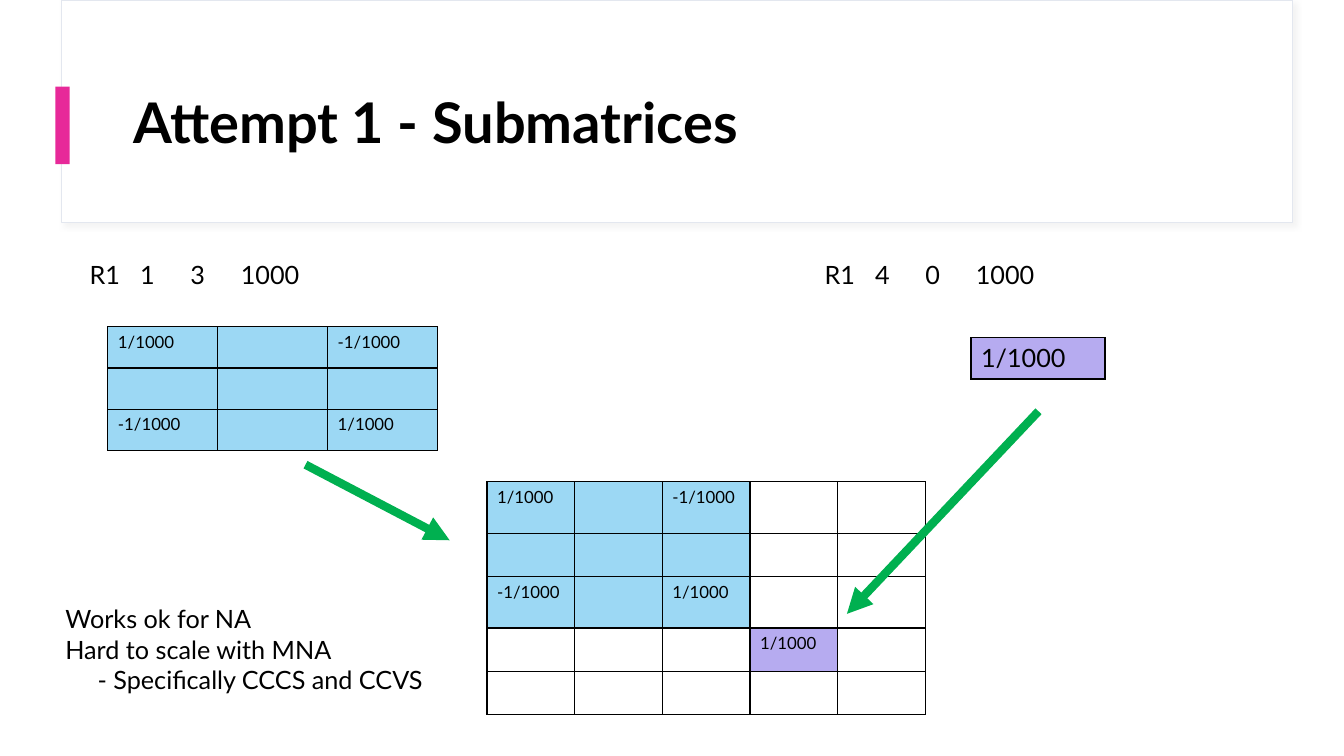
from lxml.etree import SubElement
from pptx import Presentation
from pptx.dml.color import RGBColor
from pptx.enum.shapes import MSO_CONNECTOR, MSO_SHAPE
from pptx.enum.text import MSO_ANCHOR, MSO_AUTO_SIZE, PP_ALIGN
from pptx.oxml import parse_xml
from pptx.oxml.ns import nsdecls, qn
from pptx.util import Inches, Pt

FONT = "Lato"
BLACK = RGBColor(0x00, 0x00, 0x00)
WHITE = RGBColor(0xFF, 0xFF, 0xFF)
FRAME = RGBColor(0xE3, 0xE7, 0xEF)
PINK = RGBColor(0xE7, 0x29, 0x99)
BLUE = RGBColor(0x9C, 0xD8, 0xF4)
PURPLE = RGBColor(0xB6, 0xAB, 0xF0)
GREEN = RGBColor(0x00, 0xB0, 0x50)

RESISTOR_STAMP = [["1/1000", "", "-1/1000"],
                  ["", "", ""],
                  ["-1/1000", "", "1/1000"]]
GROUND_STAMP = [["1/1000"]]


def inches(box):
    """Turn a tuple of numbers into lengths."""
    return [Inches(value) for value in box]


def write(para, text, size=18, bold=False, color=BLACK):
    """Add one formatted span of text to a paragraph."""
    span = para.add_run()
    span.text = text
    span.font.name = FONT
    span.font.size = Pt(size)
    span.font.bold = bold
    span.font.color.rgb = color


def add_panel(page, box, fill, line=None):
    """Draw a plain rectangle."""
    panel = page.shapes.add_shape(MSO_SHAPE.RECTANGLE, *inches(box))
    panel.shadow.inherit = False
    panel.fill.solid()
    panel.fill.fore_color.rgb = fill
    if line is None:
        panel.line.fill.background()
    else:
        panel.line.color.rgb = line
        panel.line.width = Pt(0.75)
    return panel


def add_soft_shadow(panel):
    """Give a panel a faint shadow towards the lower right."""
    effects = panel.element.spPr.find(qn("a:effectLst"))
    effects.append(parse_xml(
        f'<a:outerShdw {nsdecls("a")} blurRad="{Pt(4)}" dist="{Pt(3)}" dir="2700000">'
        '<a:srgbClr val="D9D9D9"><a:alpha val="30000"/></a:srgbClr></a:outerShdw>'))


def add_header(page, box, text):
    """Draw the title frame, its accent bar and the title."""
    left, top, width, height = box
    add_soft_shadow(add_panel(page, box, WHITE, FRAME))
    add_panel(page, (left - 0.06, top + 0.86, 0.14, 0.77), PINK)
    title = page.shapes.title
    title.left, title.top, title.width, title.height = inches(
        (left + 0.61, top + 0.6, width - 1.09, 1.29))
    title.element.getparent().append(title.element)
    frame = title.text_frame
    frame.word_wrap = True
    frame.auto_size = MSO_AUTO_SIZE.NONE
    frame.vertical_anchor = MSO_ANCHOR.MIDDLE
    para = frame.paragraphs[0]
    para.alignment = PP_ALIGN.LEFT
    para.line_spacing = 0.9
    write(para, text, size=40, bold=True)


def add_lines(page, box, lines):
    """Place unwrapped lines of text, given as (text, indent) pairs."""
    frame = page.shapes.add_textbox(*inches(box)).text_frame
    frame.word_wrap = False
    for index, (text, indent) in enumerate(lines):
        para = frame.add_paragraph() if index else frame.paragraphs[0]
        para.alignment = PP_ALIGN.LEFT
        if indent:
            para._p.get_or_add_pPr().set("marL", str(Inches(indent)))
        write(para, text)


def add_borders(cell):
    """Draw thin black lines on all four sides of a cell."""
    properties = cell._tc.get_or_add_tcPr()
    for index, side in enumerate(("lnL", "lnR", "lnT", "lnB")):
        properties.insert(index, parse_xml(
            f'<a:{side} {nsdecls("a")} w="{Pt(1)}"><a:solidFill>'
            f'<a:srgbClr val="{BLACK}"/></a:solidFill></a:{side}>'))


def add_matrix(page, box, row_heights, values, color_at, size=12):
    """Draw a matrix as a table; color_at(row, column) gives a fill or None."""
    rows, columns = len(values), len(values[0])
    table = page.shapes.add_table(rows, columns, *inches(box)).table
    table.first_row = table.horz_banding = False
    for column in table.columns:
        column.width = Inches(box[2] / columns)
    for row, height in enumerate(row_heights):
        table.rows[row].height = Inches(height)
        for column, value in enumerate(values[row]):
            cell = table.cell(row, column)
            color = color_at(row, column)
            if color is None:
                cell.fill.background()
            else:
                cell.fill.solid()
                cell.fill.fore_color.rgb = color
            add_borders(cell)
            if value:
                write(cell.text_frame.paragraphs[0], value, size=size)


def combine_stamps():
    """Place both stamps on the diagonal of a five by five matrix."""
    values = [row + ["", ""] for row in RESISTOR_STAMP]
    values += [["", "", "", GROUND_STAMP[0][0], ""], [""] * 5]
    return values


def combined_color(row, column):
    """Colour a cell of the combined matrix by the stamp it came from."""
    if row < 3 and column < 3:
        return BLUE
    return PURPLE if row == column == 3 else None


def add_arrow(page, start, end):
    """Draw a thick green arrow."""
    arrow = page.shapes.add_connector(
        MSO_CONNECTOR.STRAIGHT, *inches(start + end))
    arrow.line.color.rgb = GREEN
    arrow.line.width = Pt(6)
    SubElement(arrow.line._get_or_add_ln(), qn("a:tailEnd"), type="triangle")
    SubElement(arrow.element.spPr, qn("a:effectLst"))


def build_slide(deck):
    """Build the submatrices slide."""
    page = deck.slides.add_slide(deck.slide_layouts[5])
    add_header(page, (0.61, 0, 12.21, 2.21), "Attempt 1 - Submatrices")
    for left, netlist in ((8.08, "R1\t4\t0\t1000"), (0.79, "R1\t1\t3\t1000")):
        add_lines(page, (left, 2.52, 3.82, 0.4), [(netlist, 0)])
    add_matrix(page, (1.07, 3.24, 3.27, 1.22), [0.41] * 3, RESISTOR_STAMP,
               lambda row, column: BLUE)
    add_matrix(page, (9.63, 3.35, 1.33, 0.41), [0.41], GROUND_STAMP,
               lambda row, column: PURPLE, size=18)
    add_matrix(page, (4.83, 4.78, 4.35, 2.32), [0.51, 0.43, 0.51, 0.43, 0.43],
               combine_stamps(), combined_color)
    add_arrow(page, (3.03, 4.61), (4.46, 5.36))
    add_arrow(page, (10.3, 4.08), (8.4, 6.09))
    add_lines(page, (0.55, 5.94, 3.92, 1.01),
              [("Works ok for NA", 0), ("Hard to scale with MNA", 0),
               ("- Specifically CCCS and CCVS", 0.32)])


deck = Presentation()
deck.slide_width, deck.slide_height = inches((13.33, 7.5))
build_slide(deck)
deck.save("out.pptx")
